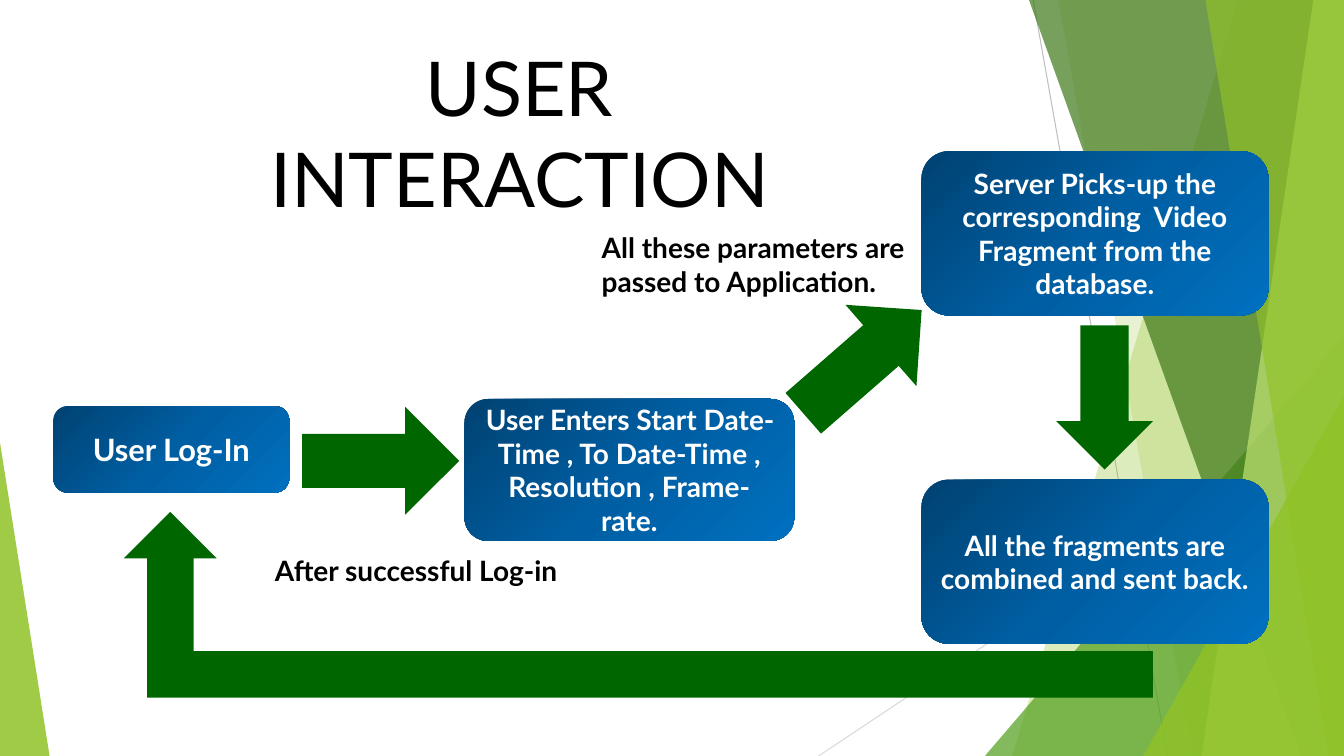
from copy import deepcopy
from dataclasses import dataclass

from pptx import Presentation, util as u
from pptx.dml.color import RGBColor
from pptx.enum import shapes, text
from pptx.oxml import ns, xmlchemy

SHAPE = shapes.MSO_SHAPE
ALIGN = text.PP_ALIGN


@dataclass(frozen=True)
class Theme:
    font: str = "Lato"
    title: int = 54
    lead: int = 22
    body: int = 20
    ink: str = "000000"
    paper: str = "FFFFFF"
    arrow: str = "006600"
    box: tuple = ("004272", "005EA2", "0070C0")
    lime: str = "90C226"
    pale: str = "C0E474"
    leaf: str = "54A021"
    forest: str = "3F7819"
    rule: str = "BFBFBF"
    rule_light: str = "D9D9D9"
    rule_width: float = 0.75


class Deck:
    COLS, ROWS = 32, 18

    def __init__(self, theme):
        self.theme = theme
        self.prs = Presentation()
        self.prs.slide_width = u.Inches(13.33)
        self.prs.slide_height = u.Inches(7.5)
        self.slide = self.prs.slides.add_slide(self.prs.slide_layouts[6])

    def x(self, cols):
        return u.Emu(round(self.prs.slide_width * cols / self.COLS))

    def y(self, rows):
        return u.Emu(round(self.prs.slide_height * rows / self.ROWS))

    def frame(self, col, row, cols, rows):
        return self.x(col), self.y(row), self.x(cols), self.y(rows)

    def paint(self, s, color, opacity=100):
        s.shadow.inherit = False
        s.line.fill.background()
        s.fill.solid()
        s.fill.fore_color.rgb = RGBColor.from_string(color)
        if opacity < 100:
            clr = s._element.spPr.find(".//" + ns.qn("a:srgbClr"))
            alpha = xmlchemy.OxmlElement("a:alpha")
            alpha.set("val", str(opacity * 1000))
            clr.append(alpha)

    def rule(self, start, end, color):
        s = self.slide.shapes.add_connector(
            shapes.MSO_CONNECTOR.STRAIGHT,
            self.x(start[0]), self.y(start[1]), self.x(end[0]), self.y(end[1]))
        s.line.color.rgb = RGBColor.from_string(color)
        s.line.width = u.Pt(self.theme.rule_width)
        s._element.spPr.append(xmlchemy.OxmlElement("a:effectLst"))

    def band(self, top_col, bottom_col, color, opacity):
        right, bottom = self.x(self.COLS), self.y(self.ROWS)
        outline = self.slide.shapes.build_freeform(self.x(top_col), 0)
        outline.add_line_segments(
            [(right, 0), (right, bottom), (self.x(bottom_col), bottom)])
        self.paint(outline.convert_to_shape(), color, opacity)

    def wedge(self, col, row, cols, apex, color, opacity):
        s = self.slide.shapes.add_shape(
            SHAPE.ISOSCELES_TRIANGLE, *self.frame(col, row, cols, self.ROWS - row))
        s.adjustments[0] = apex
        self.paint(s, color, opacity)

    def set_text(self, s, words, size, color, align, bold=True):
        tf = s.text_frame
        tf.word_wrap = True
        p = tf.paragraphs[0]
        p.text = words
        p.alignment = align
        p.font.name = self.theme.font
        p.font.size = u.Pt(size)
        p.font.bold = bold
        p.font.color.rgb = RGBColor.from_string(color)

    def label(self, words, place, size, align=ALIGN.LEFT, bold=True):
        s = self.slide.shapes.add_textbox(*self.frame(*place))
        self.set_text(s, words, size, self.theme.ink, align, bold)

    def step(self, words, place, size):
        s = self.slide.shapes.add_shape(
            SHAPE.FLOWCHART_ALTERNATE_PROCESS, *self.frame(*place))
        s.shadow.inherit = False
        s.line.fill.background()
        s.fill.gradient()
        s.fill.gradient_angle = 315
        first = s._element.spPr.find(".//" + ns.qn("a:gs"))
        middle = deepcopy(first)
        middle.set("pos", "50000")
        first.addnext(middle)
        for stop, color in zip(s.fill.gradient_stops, self.theme.box):
            stop.color.rgb = RGBColor.from_string(color)
        s.text_frame.vertical_anchor = text.MSO_ANCHOR.MIDDLE
        self.set_text(s, words, size, self.theme.paper, ALIGN.CENTER)

    def arrow(self, place, kind=SHAPE.DOWN_ARROW, rotation=0, mirrored=False):
        s = self.slide.shapes.add_shape(kind, *self.frame(*place))
        s.rotation = rotation
        if mirrored:
            s._element.spPr.find(ns.qn("a:xfrm")).set("flipH", "1")
        self.paint(s, self.theme.arrow)


def draw_backdrop(d):
    t = d.theme
    d.rule((24.6, 0), (27.8, 18), t.rule)
    d.rule((32, 9.67), (19.49, 18), t.rule_light)
    d.band(29.47, 24.1, t.lime, 30)
    d.band(25.2, 28.39, t.lime, 20)
    d.wedge(23.45, 8, 8.55, 1, t.leaf, 72)
    d.band(24.5, 30.98, t.forest, 70)
    d.band(31.27, 28.61, t.pale, 70)
    d.band(28.7, 31.63, t.lime, 65)
    d.wedge(27.22, 9.43, 4.78, 1, t.lime, 80)
    d.wedge(0, 10.54, 1.18, 0, t.lime, 85)


def draw_flow(d):
    t = d.theme
    d.label("USER INTERACTION", (4.92, 0.86, 14.9, 2.42), t.title,
            ALIGN.CENTER, bold=False)
    d.step("User Log-In", (1.27, 9.67, 5.62, 2.06), t.lead)
    d.label("After successful Log-in", (6.31, 13.06, 7.85, 1.06), t.body)
    d.step("User Enters Start Date-Time , To Date-Time , Resolution , Frame-rate.",
           (11.06, 9.5, 7.85, 3.38), t.body)
    d.step("Server Picks-up the corresponding  Video Fragment from the database.",
           (21.94, 3.6, 8.26, 3.91), t.body)
    d.step("All the fragments are combined and sent back.",
           (21.94, 11.42, 8.26, 3.91), t.body)
    d.arrow((25.15, 7.75, 2.3, 3.43))
    d.label("All these parameters are passed to Application.",
            (14.09, 5.38, 7.85, 1.85), t.body)
    d.arrow((7.78, 9.1, 2.57, 3.74), rotation=270)
    d.arrow((19.25, 6.74, 2.57, 3.74), rotation=228.9)
    d.arrow((2.95, 12.19, 24.5, 4.42), SHAPE.BENT_UP_ARROW, mirrored=True)


def main():
    d = Deck(Theme())
    draw_backdrop(d)
    draw_flow(d)
    d.prs.save("out.pptx")


if __name__ == "__main__":
    main()
